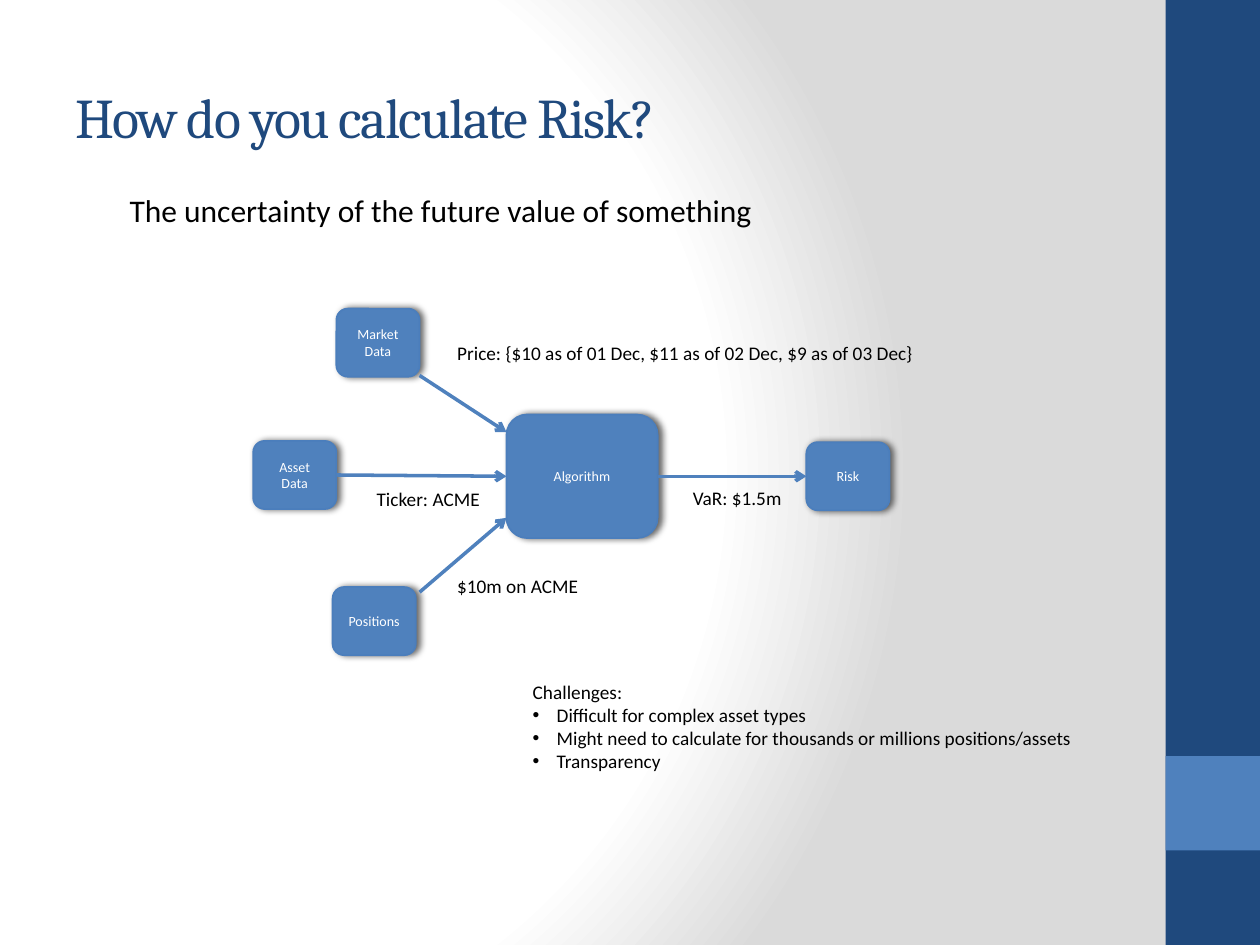
from pptx import Presentation
from pptx.dml.color import RGBColor
from pptx.enum.shapes import MSO_CONNECTOR, MSO_SHAPE
from pptx.enum.text import MSO_ANCHOR, MSO_AUTO_SIZE, PP_ALIGN
from pptx.oxml import parse_xml
from pptx.oxml.ns import nsdecls, qn
from pptx.util import Inches, Pt

COLORS = {
    "navy": "1F497D",
    "blue": "4F81BD",
    "outline": "4B7EBC",
    "white": "FFFFFF",
    "grey": "DADADA",
    "black": "000000",
}
SMALL_BOX = (0.66, 0.54)
BOXES = [
    ("Algorithm", 4.02, 3.29, 1.2, 0.98),
    ("Market Data", 2.67, 2.45, *SMALL_BOX),
    ("Asset Data", 2.01, 3.5, *SMALL_BOX),
    ("Positions", 2.64, 4.66, *SMALL_BOX),
    ("Risk", 6.4, 3.51, *SMALL_BOX),
]
ARROWS = [
    (3.33, 2.98, 4.02, 3.43),
    (2.67, 3.77, 4.02, 3.78),
    (3.33, 4.7, 4.02, 4.11),
    (5.22, 3.78, 6.4, 3.78),
]
LABELS = [
    ("Price: {$10 as of 01 Dec, $11 as of 02 Dec, $9 as of 03 Dec}", 3.53, 2.66, 3.85, 0.29),
    ("Ticker: ACME", 2.89, 3.82, 1.05, 0.29),
    ("$10m on ACME", 3.53, 4.51, 1.19, 0.29),
    ("VaR: $1.5m", 5.4, 3.81, 0.93, 0.29),
]
CHALLENGES = [
    "Difficult for complex asset types",
    "Might need to calculate for thousands or millions positions/assets",
    "Transparency",
]


def color(name):
    return RGBColor.from_string(COLORS[name])


def set_attributes(target, values):
    for name, value in values.items():
        setattr(target, name, value)


def write(paragraph, text, size, color_name, font_name="Calibri"):
    run = paragraph.add_run()
    run.text = text
    set_attributes(run.font, {"size": Pt(size), "name": font_name})
    run.font.color.rgb = color(color_name)
    return run


def set_background(slide):
    stops = "".join(
        f'<a:gs pos="{position}"><a:srgbClr val="{COLORS[name]}"/></a:gs>'
        for position, name in ((0, "white"), (75000, "white"), (100000, "grey"))
    )
    background = parse_xml(
        f'<p:bg {nsdecls("p", "a")}><p:bgPr><a:gradFill rotWithShape="1">'
        f'<a:gsLst>{stops}</a:gsLst><a:path path="circle">'
        '<a:fillToRect l="20000" t="50000" r="100000" b="50000"/></a:path>'
        '</a:gradFill><a:effectLst/></p:bgPr></p:bg>'
    )
    slide._element.cSld.insert(0, background)


def add_band(slide, top, height, color_name):
    shape = slide.shapes.add_shape(
        MSO_SHAPE.RECTANGLE, Inches(9.25), Inches(top), Inches(0.75), Inches(height)
    )
    shape.shadow.inherit = False
    shape.fill.solid()
    shape.fill.fore_color.rgb = color(color_name)
    shape.line.fill.background()


def add_box(slide, text, *place):
    shape = slide.shapes.add_shape(MSO_SHAPE.ROUNDED_RECTANGLE, *map(Inches, place))
    shape.fill.solid()
    shape.fill.fore_color.rgb = color("blue")
    shape.line.color.rgb = color("outline")
    shape.line.width = Pt(1)
    shape.shadow.inherit = False
    effects = shape._element.spPr.find(qn("a:effectLst"))
    effects.append(parse_xml(
        f'<a:outerShdw {nsdecls("a")} blurRad="{Pt(4)}" dist="{Pt(2)}" dir="0" '
        f'rotWithShape="0"><a:srgbClr val="{COLORS["black"]}">'
        '<a:alpha val="60000"/></a:srgbClr></a:outerShdw>'
    ))
    set_attributes(shape.text_frame, {"word_wrap": True, "vertical_anchor": MSO_ANCHOR.MIDDLE})
    paragraph = shape.text_frame.paragraphs[0]
    paragraph.alignment = PP_ALIGN.CENTER
    write(paragraph, text, 8, "white")


def add_arrow(slide, *ends):
    connector = slide.shapes.add_connector(MSO_CONNECTOR.STRAIGHT, *map(Inches, ends))
    connector.line.color.rgb = color("blue")
    connector.line.width = Pt(2)
    properties = connector._element.spPr
    properties.find(qn("a:ln")).append(parse_xml(f'<a:tailEnd {nsdecls("a")} type="arrow"/>'))
    properties.append(parse_xml(f'<a:effectLst {nsdecls("a")}/>'))


def add_text_frame(slide, place, **settings):
    text_frame = slide.shapes.add_textbox(*map(Inches, place)).text_frame
    set_attributes(text_frame, settings)
    return text_frame


def add_label(slide, text, *place, size=11):
    text_frame = add_text_frame(
        slide, place, word_wrap=False, auto_size=MSO_AUTO_SIZE.SHAPE_TO_FIT_TEXT
    )
    write(text_frame.paragraphs[0], text, size, "black")


def add_title(slide):
    text_frame = add_text_frame(
        slide, (0.5, 0.3, 8.33, 1.25), word_wrap=True, vertical_anchor=MSO_ANCHOR.MIDDLE
    )
    run = write(text_frame.paragraphs[0], "How do you calculate Risk?", 32, "navy", "Cambria")
    run.font._element.set("spc", "-100")


def add_bullet(text_frame, text):
    paragraph = text_frame.add_paragraph()
    write(paragraph, text, 11, "black")
    properties = paragraph._p.get_or_add_pPr()
    properties.set("marL", str(Inches(0.19)))
    properties.set("indent", str(Inches(-0.19)))
    properties.append(parse_xml(f'<a:buFont {nsdecls("a")} typeface="Arial"/>'))
    properties.append(parse_xml(f'<a:buChar {nsdecls("a")} char="•"/>'))


def add_challenges(slide):
    text_frame = add_text_frame(
        slide, (4.13, 5.35, 4.7, 0.84),
        word_wrap=True, auto_size=MSO_AUTO_SIZE.SHAPE_TO_FIT_TEXT,
    )
    write(text_frame.paragraphs[0], "Challenges:", 11, "black")
    for challenge in CHALLENGES:
        add_bullet(text_frame, challenge)


def main():
    presentation = Presentation()
    set_attributes(presentation, {"slide_width": Inches(10), "slide_height": Inches(7.5)})
    slide = presentation.slides.add_slide(presentation.slide_layouts[6])
    set_background(slide)
    add_band(slide, 0, 7.5, "navy")
    add_band(slide, 6, 0.75, "blue")
    add_title(slide)
    for box in BOXES:
        add_box(slide, *box)
    for arrow in ARROWS:
        add_arrow(slide, *arrow)
    for label in LABELS:
        add_label(slide, *label)
    add_challenges(slide)
    add_label(
        slide, "The uncertainty of the future value of something", 0.93, 1.47, 5.2, 0.4, size=18
    )
    presentation.save("out.pptx")


main()
